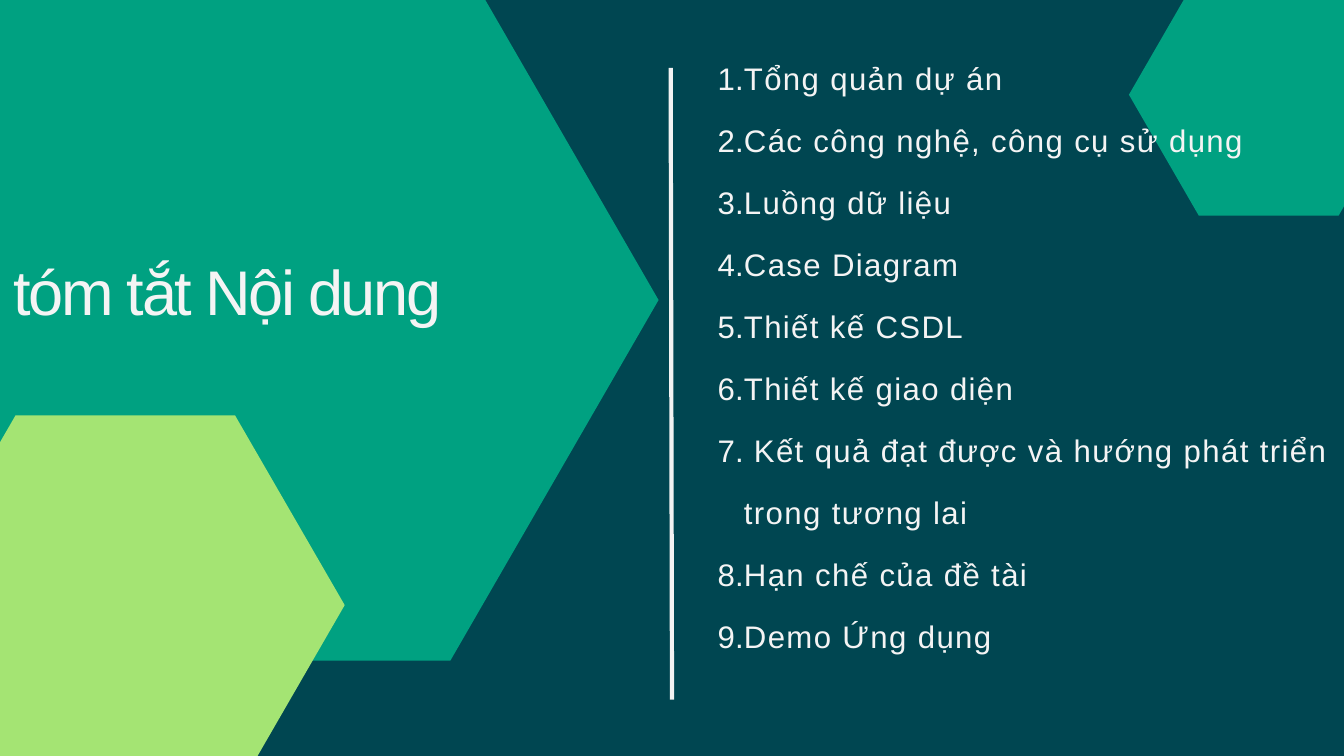
"""Build the table-of-contents slide with hexagons and a numbered list."""
from lxml.etree import SubElement
from pptx import Presentation
from pptx.dml.color import RGBColor
from pptx.enum.shapes import MSO_CONNECTOR
from pptx.oxml.ns import qn
from pptx.util import Inches, Pt

NAVY = RGBColor(0x00, 0x46, 0x51)
GREEN = RGBColor(0x00, 0xA1, 0x81)
LIME = RGBColor(0xA4, 0xE4, 0x73)
OFF_WHITE = RGBColor(0xF4, 0xF4, 0xF4)
LINE_GREY = RGBColor(0xF2, 0xF2, 0xF2)
FONT = "Arial"

TITLE = "tóm tắt Nội dung"
TOPICS = [
    "Tổng quản dự án",
    "Các công nghệ, công cụ sử dụng",
    "Luồng dữ liệu",
    "Case Diagram",
    "Thiết kế CSDL",
    "Thiết kế giao diện",
    " Kết quả đạt được và hướng phát triển trong tương lai",
    "Hạn chế của đề tài",
    "Demo Ứng dụng",
]
LARGE_HEXAGON = (-2.59, -0.9, 12.39, 10.73, GREEN)
LIME_HEXAGON = (-1.4, 6.18, 6.53, 5.65, LIME)
CORNER_HEXAGON = (16.8, -0.39, 4.16, 3.6, GREEN)
HEXAGON_CORNERS = [(1, 0.5), (0.75, 1), (0.25, 1), (0, 0.5), (0.25, 0), (0.75, 0)]


def add_hexagon(slide, left, top, width, height, color):
    corners = [
        (Inches(left + width * across), Inches(top + height * down))
        for across, down in HEXAGON_CORNERS
    ]
    builder = slide.shapes.build_freeform(*corners[0])
    builder.add_line_segments(corners[1:], close=True)
    hexagon = builder.convert_to_shape()
    hexagon.shadow.inherit = False
    hexagon.fill.solid()
    hexagon.fill.fore_color.rgb = color
    hexagon.line.fill.background()


def add_text(slide, area, lines, size, leading, tracking, numbered=False):
    box = slide.shapes.add_textbox(*(Inches(value) for value in area))
    frame = box.text_frame
    frame.word_wrap = True
    frame.margin_left = frame.margin_top = frame.margin_right = frame.margin_bottom = 0
    frame.text = "\n".join(lines)
    for para in frame.paragraphs:
        if numbered:
            add_number(para)
        para.line_spacing = Pt(leading)
        for span in para.runs:
            span.font.name = FONT
            span.font.size = Pt(size)
            span.font.color.rgb = OFF_WHITE
            span.font._element.set("spc", str(round(tracking * 100)))


def add_number(para):
    para.level = 1
    properties = para._p.get_or_add_pPr()
    properties.set("marL", str(Inches(0.79)))
    properties.set("indent", str(Inches(-0.39)))
    SubElement(properties, qn("a:buFont"), typeface=FONT)
    SubElement(properties, qn("a:buAutoNum"), type="arabicPeriod")


def add_divider(slide):
    divider = slide.shapes.add_connector(
        MSO_CONNECTOR.STRAIGHT, Inches(10), Inches(10.41), Inches(9.98), Inches(1.01)
    )
    divider.line.color.rgb = LINE_GREY
    divider.line.width = Pt(4.5)
    SubElement(divider._element.spPr, qn("a:effectLst"))


def main():
    deck = Presentation()
    deck.slide_width, deck.slide_height = Inches(20), Inches(11.25)
    page = deck.slides.add_slide(deck.slide_layouts[6])
    page.background.fill.solid()
    page.background.fill.fore_color.rgb = NAVY

    add_hexagon(page, *LARGE_HEXAGON)
    add_hexagon(page, *LIME_HEXAGON)
    add_text(page, (0.2, 3.76, 9.33, 1.27), [TITLE], 67.6, 81.1, -2.5)
    add_hexagon(page, *CORNER_HEXAGON)
    add_text(page, (10.28, 0.51, 9.52, 10.99), TOPICS, 33.4, 66.5, 1.5, numbered=True)
    add_divider(page)
    deck.save("out.pptx")


if __name__ == "__main__":
    main()
